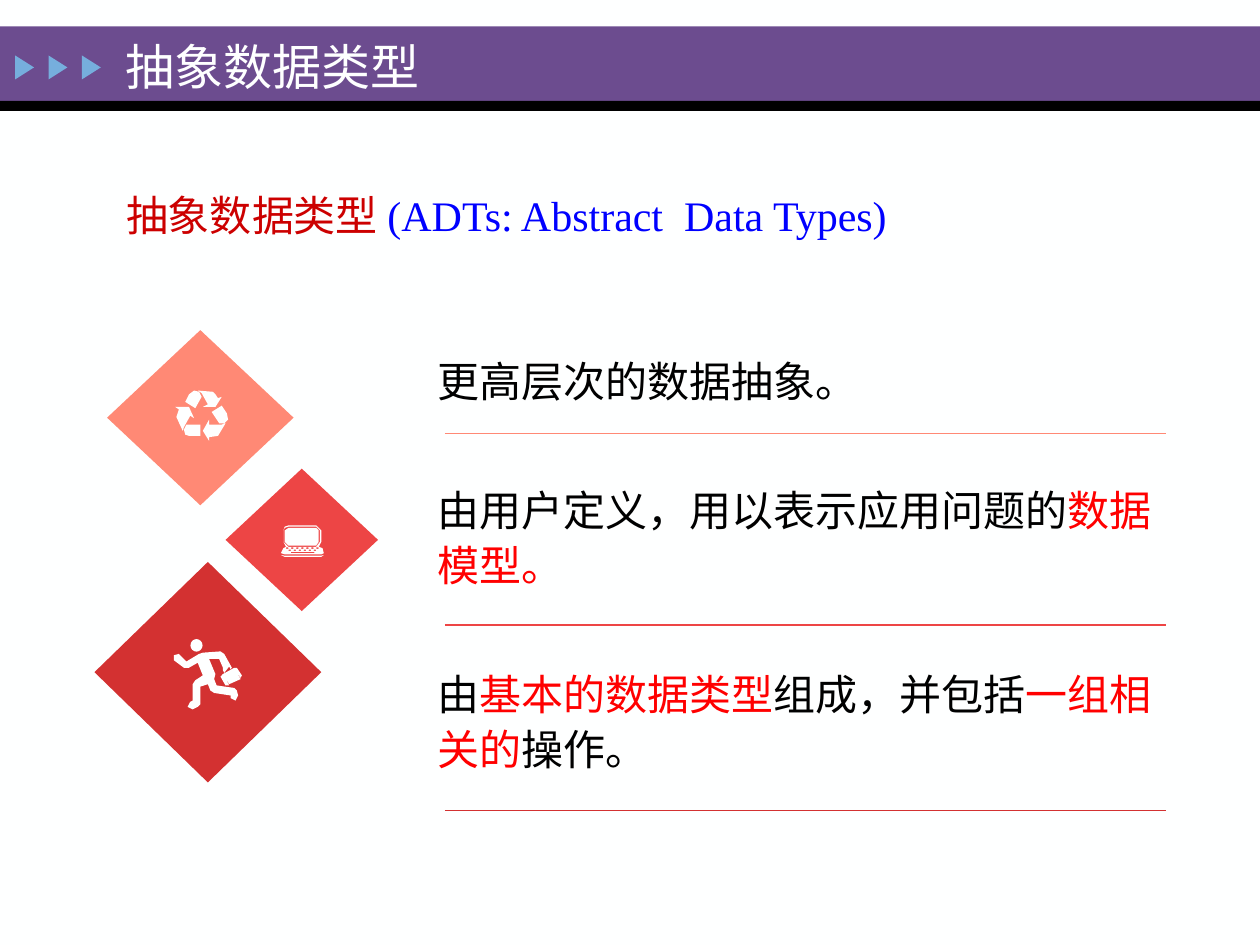
from dataclasses import dataclass
from math import cos, pi, sin

from lxml.etree import SubElement
from pptx import Presentation
from pptx.dml.color import RGBColor
from pptx.enum.shapes import MSO_CONNECTOR, MSO_SHAPE
from pptx.enum.text import MSO_ANCHOR, MSO_AUTO_SIZE, PP_ALIGN
from pptx.oxml.ns import qn
from pptx.util import Inches, Pt


@dataclass(frozen=True)
class Theme:
    font: str = "Times New Roman"
    head: int = 28
    text: int = 24
    gap: int = 42
    rule: float = 0.75
    paper: str = "FEFFFF"
    band: str = "6C4C8F"
    black: str = "000000"
    arrow: str = "76AEDD"
    crimson: str = "CC0000"
    blue: str = "0000FF"
    red: str = "FF0000"
    coral: str = "FF8975"
    rose: str = "ED4545"
    brick: str = "D33131"


THEME = Theme()
WIDE, HIGH = Inches(10), Inches(7.5)
COLS, ROWS = 100, 75
UNIT = WIDE / COLS

RECYCLE = [
    [(15, 0), (11, 3), (8, 9), (16, 14), (21, 5), (19, 1)],
    [(34, 6), (32, 3), (30, 1), (18, 0), (21, 2), (26, 11), (22, 13),
     (32, 13), (37, 5)],
    [(8, 35), (11, 36), (20, 36), (20, 27), (9, 27), (7, 31)],
    [(3, 15), (1, 21), (6, 32), (7, 29), (12, 20), (15, 22), (11, 13),
     (0, 13)],
    [(42, 23), (41, 18), (37, 12), (29, 17), (35, 26), (39, 26)],
    [(27, 37), (34, 36), (40, 26), (37, 27), (27, 27), (27, 23), (22, 32),
     (27, 40)],
]
RUNNER = [
    [(51, 41), (49, 39), (35, 37), (33, 32), (34, 28), (29, 16), (37, 16),
     (40, 23), (40, 25), (41, 27), (45, 22), (46, 24), (47, 23), (46, 21),
     (41, 12), (38, 10), (24, 11), (21, 12), (11, 18), (5, 12), (1, 13),
     (1, 17), (9, 23), (13, 23), (20, 19), (24, 29), (18, 33), (16, 36),
     (16, 49), (14, 50), (12, 54), (16, 56), (20, 54), (22, 52), (22, 38),
     (28, 36), (30, 41), (33, 43), (46, 45), (46, 47), (50, 49), (52, 45)],
    [(38, 30), (42, 37), (45, 37), (40, 28)],
    [(40, 28), (45, 36), (54, 32), (49, 23)],
    [(55, 29), (51, 23), (49, 23), (54, 31)],
]
LAPTOP = [
    [(32, 23), (3, 23), (0, 22), (2, 18), (4, 17), (2, 13), (2, 4), (3, 1),
     (6, 0), (28, 0), (32, 4), (32, 13), (30, 17), (33, 18), (34, 22)],
    [(6, 17), (28, 17), (31, 13), (31, 4), (28, 1), (6, 1), (3, 2), (2, 4),
     (2, 13)],
    [(30, 13), (28, 16), (6, 16), (3, 13), (3, 4), (6, 2), (28, 2), (30, 4)],
    [(8, 21), (26, 21), (27, 22), (8, 22)],
    [(0, 23.5), (3, 24), (32, 24), (34, 23.5), (32, 25), (3, 25)],
]


def tint(name):
    return RGBColor.from_string(name)


def place(item, x, y, w, h):
    item.left, item.top = round(x * UNIT), round(y * UNIT)
    item.width, item.height = round(w * UNIT), round(h * UNIT)


def paint(item, color):
    item.shadow.inherit = False
    item.fill.solid()
    item.fill.fore_color.rgb = tint(color)
    item.line.fill.background()


def block(slide, kind, x, y, w, h, color):
    item = slide.shapes.add_shape(kind, 0, 0, 0, 0)
    place(item, x, y, w, h)
    paint(item, color)
    return item


def oval(x, y, wide, high, steps=8):
    turns = [2 * pi * n / steps for n in range(steps)]
    return [(x + wide * cos(a), y + high * sin(a)) for a in turns]


def icon(slide, x, y, loops, color):
    fine = 10
    pen = None
    for loop in loops:
        dots = [(round(a * fine), round(b * fine)) for a, b in loop]
        if pen is None:
            pen = slide.shapes.build_freeform(*dots[0], scale=UNIT / 10 / fine)
        else:
            pen.move_to(*dots[0])
        pen.add_line_segments(dots[1:], close=True)
    paint(pen.convert_to_shape(round(x * UNIT), round(y * UNIT)), color)


def rule(slide, left, right, y, color):
    y = round(y * UNIT)
    line = slide.shapes.add_connector(
        MSO_CONNECTOR.STRAIGHT, round(left * UNIT), y, round(right * UNIT), y)
    line.line.color.rgb = tint(color)
    line.line.width = Pt(THEME.rule)
    SubElement(line._element.spPr, qn("a:effectLst"))


def write(para, runs, size):
    para.alignment = PP_ALIGN.LEFT
    for text, color in runs:
        run = para.add_run()
        run.text = text
        run.font.name = THEME.font
        run.font.size = Pt(size)
        run.font.color.rgb = tint(color)


def frame(item, anchor):
    text = item.text_frame
    text.word_wrap = True
    text.auto_size = MSO_AUTO_SIZE.NONE
    text.vertical_anchor = anchor
    return text


def banner(slide):
    block(slide, MSO_SHAPE.RECTANGLE, 0, 2.1, COLS, 5.9, THEME.band)
    block(slide, MSO_SHAPE.RECTANGLE, 0, 8, COLS, 0.8, THEME.black)
    for step in range(3):
        mark = block(slide, MSO_SHAPE.ISOSCELES_TRIANGLE,
                     1 + 2.65 * step, 4.6, 1.9, 1.5, THEME.arrow)
        mark.rotation = 90
    head = slide.shapes.add_textbox(0, 0, 0, 0)
    place(head, 9, 2.1, 35.2, 6.2)
    write(frame(head, MSO_ANCHOR.MIDDLE).paragraphs[0],
          [("抽象数据类型", THEME.paper)], THEME.head)


def title(slide):
    item = slide.shapes.title
    place(item, 9, 11.5, 75.1, 11)
    write(frame(item, MSO_ANCHOR.MIDDLE).paragraphs[0],
          [("抽象数据类型 ", THEME.crimson),
           ("(ADTs: Abstract  Data Types)", THEME.blue)], THEME.text)


def points(slide, rows):
    item = slide.placeholders[1]
    place(item, 28.7, 27.3, 66.6, 36.9)
    text = frame(item, MSO_ANCHOR.TOP)
    for n, runs in enumerate(rows):
        para = text.add_paragraph() if n else text.paragraphs[0]
        para.level = 1
        props = para._p.get_or_add_pPr()
        props.set("marL", str(Inches(0.5)))
        props.set("indent", "0")
        SubElement(props, qn("a:buNone"))
        para.line_spacing = 1.1
        para.space_before = Pt(THEME.gap if n else 0)
        write(para, runs, THEME.text)


def main():
    deck = Presentation()
    deck.slide_width, deck.slide_height = WIDE, HIGH
    slide = deck.slides.add_slide(deck.slide_layouts[1])
    slide.background.fill.solid()
    slide.background.fill.fore_color.rgb = tint(THEME.paper)
    banner(slide)
    title(slide)
    ink, red = THEME.black, THEME.red
    points(slide, [
        [("更高层次的数据抽象。", ink)],
        [("由用户定义，用以表示应用问题的", ink), ("数据模型。", red)],
        [("由", ink), ("基本的数据类型", red), ("组成，并包括", ink),
         ("一组相关的", red), ("操作。", ink)],
    ])
    for x, y, w, h, color in [(8.5, 26.2, 14.8, 13.9, THEME.coral),
                              (7.5, 44.6, 18, 17.5, THEME.brick),
                              (17.9, 37.2, 12.1, 11.3, THEME.rose)]:
        block(slide, MSO_SHAPE.FLOWCHART_DECISION, x, y, w, h, color)
    keys = [oval(5 + 4 * n, 18, 1.2, 0.7) for n in range(7)]
    keys += [oval(7 + 4 * n, 19.7, 1.2, 0.6) for n in range(6)]
    face = oval(19, 5.2, 4.8, 5, 16)
    for x, y, loops in [(13.9, 31, RECYCLE), (13.7, 50.7, [face] + RUNNER),
                        (22.3, 41.7, LAPTOP + keys)]:
        icon(slide, x, y, loops, THEME.paper)
    for y, color in [(34.4, THEME.coral), (49.6, THEME.rose),
                     (64.3, THEME.brick)]:
        rule(slide, 35.3, 92.5, y, color)
    deck.save("out.pptx")


if __name__ == "__main__":
    main()
